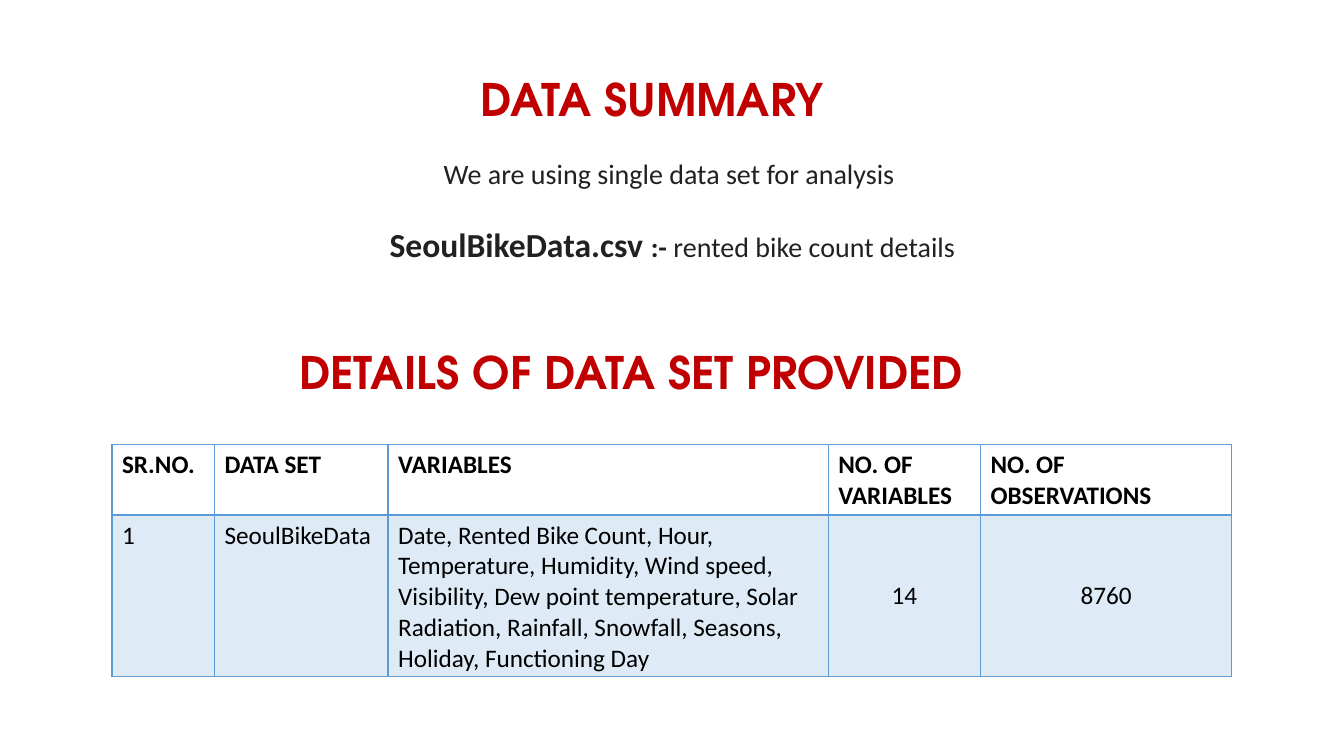
from lxml.etree import SubElement
from pptx import Presentation
from pptx.dml.color import RGBColor
from pptx.enum.text import MSO_ANCHOR, PP_ALIGN
from pptx.oxml.ns import qn
from pptx.util import Pt

HUES = {"red": "C00000", "grey": "212121", "black": "000000", "blue": "5B9BD5"}
HEAD, BODY = "TeX Gyre Adventor", "Calibri"


class Deck:
    def __init__(self, wide, high):
        self.prs = Presentation()
        self.prs.slide_width, self.prs.slide_height = Pt(wide), Pt(high)
        self.slide = self.prs.slides.add_slide(self.prs.slide_layouts[6])

    def run(self, para, text, size, hue, bold=False, face=BODY):
        run = para.add_run()
        run.text = text
        font = run.font
        font.name, font.size, font.bold = face, Pt(size), bold
        font.color.rgb = RGBColor.from_string(HUES[hue])

    def box(self, left, top, wide, high):
        frame = self.slide.shapes.add_textbox(
            Pt(left), Pt(top), Pt(wide), Pt(high)).text_frame
        frame.word_wrap = True
        return frame

    def title(self, text, left, top, wide):
        para = self.box(left, top, wide, 46).paragraphs[0]
        self.run(para, text, 32, "red", True, HEAD)

    def edge(self, cell, side, width):
        props = cell._tc.get_or_add_tcPr()
        line = SubElement(props, qn("a:ln" + side), w=str(Pt(width)))
        fill = SubElement(line, qn("a:solidFill"))
        SubElement(fill, qn("a:srgbClr"), val=HUES["blue"])

    def tint(self, cell, alpha):
        cell.fill.solid()
        cell.fill.fore_color.rgb = RGBColor.from_string(HUES["blue"])
        hue = cell._tc.tcPr.find(".//" + qn("a:solidFill") + "[last()]")
        hue = cell._tc.tcPr.find(qn("a:solidFill"))[0]
        SubElement(hue, qn("a:alpha"), val=str(alpha * 1000))

    def table(self, rows, left, top, cols, highs, mid):
        grid = self.slide.shapes.add_table(
            len(rows), len(cols), Pt(left), Pt(top),
            Pt(sum(cols)), Pt(sum(highs))).table
        grid.first_row = grid.horz_banding = False
        for col, wide in zip(grid.columns, cols):
            col.width = Pt(wide)
        for r, (row, high) in enumerate(zip(rows, highs)):
            grid.rows[r].height = Pt(high)
            for c, text in enumerate(row):
                cell = grid.cell(r, c)
                para = cell.text_frame.paragraphs[0]
                self.run(para, text, 18, "black", r == 0)
                # The rule under the header is twice as thick
                thick = "B" if r == 0 else "T"
                for side in "LRTB":
                    self.edge(cell, side, 2 if side == thick else 1)
                if r == 0:
                    cell.fill.background()
                    continue
                self.tint(cell, 20)
                if c in mid:
                    para.alignment = PP_ALIGN.CENTER
                    cell.vertical_anchor = MSO_ANCHOR.MIDDLE


def main():
    deck = Deck(960, 540)

    # Summary
    deck.title("DATA SUMMARY", 336.2, 47.5, 288)
    frame = deck.box(262.1, 108, 436.3, 85)
    intro = frame.paragraphs[0]
    deck.run(intro, "We are using single data set for analysis ", 20, "grey")
    intro.space_after = Pt(24.4)
    source = frame.add_paragraph()
    deck.run(source, "SeoulBikeData.csv ", 24, "grey", True)
    deck.run(source, ":-", 20, "grey", True)
    deck.run(source, " rented bike count details", 20, "grey")
    intro.alignment = source.alignment = PP_ALIGN.CENTER

    # Details
    deck.title("DETAILS OF DATA SET PROVIDED", 206.6, 242.6, 546.5)
    rows = [
        ["SR.NO.", "DATA SET", "VARIABLES", "NO. OF VARIABLES",
         "NO. OF OBSERVATIONS"],
        ["1", "SeoulBikeData",
         "Date, Rented Bike Count, Hour, Temperature, Humidity, Wind speed, "
         "Visibility, Dew point temperature, Solar Radiation, Rainfall, "
         "Snowfall, Seasons, Holiday, Functioning Day", "14", "8760"],
    ]
    deck.table(rows, 80, 317.5, [73.2, 124, 314.5, 108.7, 179.5],
               [50.5, 115], mid=(3, 4))

    deck.prs.save("out.pptx")


if __name__ == "__main__":
    main()
